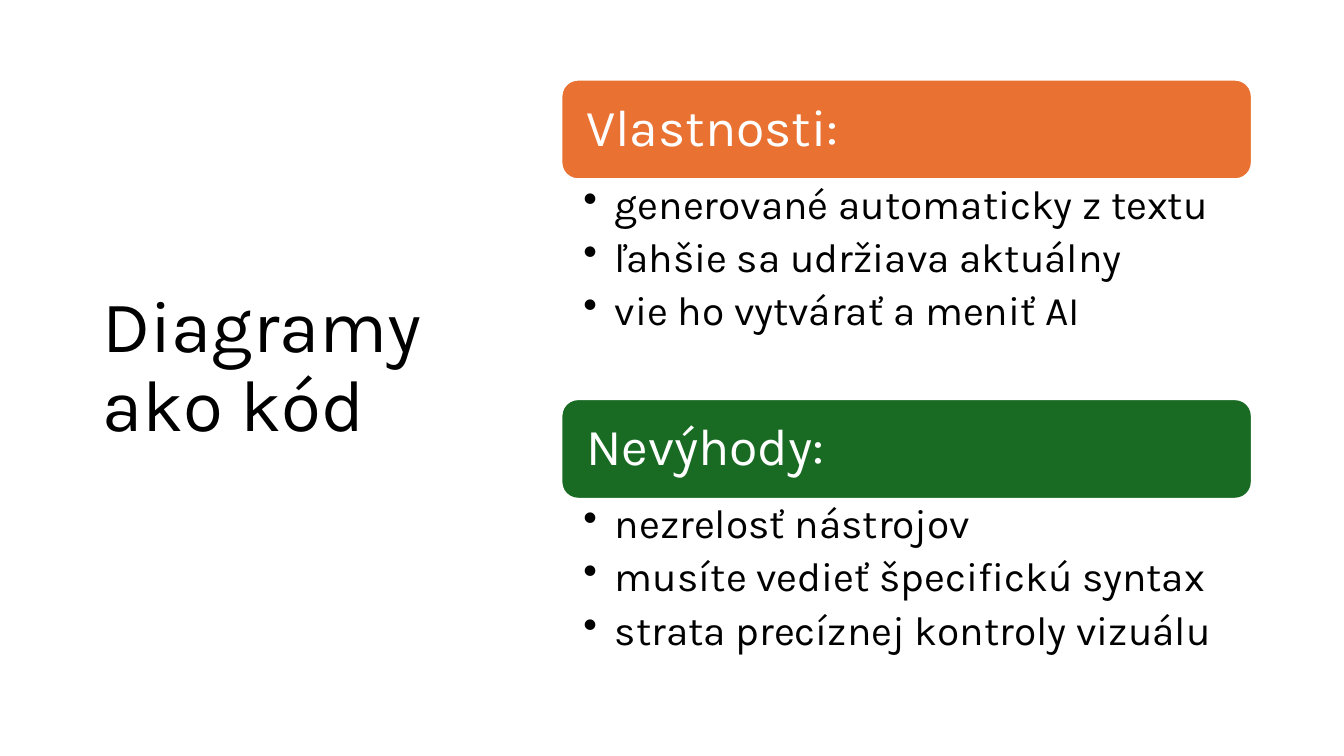
"""Build the slide on diagrams as code."""
from pptx import Presentation as Deck
from pptx.dml.color import RGBColor as Rgb
from pptx.enum.shapes import MSO_SHAPE as Kind
from pptx.enum.text import MSO_ANCHOR as Anchor, PP_ALIGN as Align
from pptx.oxml.ns import qn
from pptx.util import Pt

LEFT, WIDE = 401, 493.2
TOP, STEP, BAR = 56.9, 228.2, 71.2
PANELS = [
    ("Vlastnosti:", "E97132", 157, [
        "generované automaticky z textu",
        "ľahšie sa udržiava aktuálny",
        "vie ho vytvárať a meniť AI",
    ]),
    ("Nevýhody:", "196B24", 117.4, [
        "nezrelosť nástrojov",
        "musíte vedieť špecifickú syntax",
        "strata precíznej kontroly vizuálu",
    ]),
]


def color(code):
    """Turn a hex string into a colour."""
    return Rgb.from_string(code)


def apply(item, values):
    """Set each named value on an object."""
    for name, value in values.items():
        setattr(item, name, value)


def bullet(para):
    """Give a paragraph a hanging round bullet."""
    props = para._p.get_or_add_pPr()
    props.set("marL", str(Pt(22.5)))
    props.set("indent", str(-Pt(22.5)))
    mark = props.makeelement(qn("a:buChar"), {"char": "•"})
    props.append(mark)


def write(shape, lines, size, ink, pads, anchor, after=0, dots=False):
    """Fill a shape with styled paragraphs."""
    frame = shape.text_frame
    sides = ("margin_left", "margin_top", "margin_right", "margin_bottom")
    apply(frame, dict(zip(sides, map(Pt, pads))))
    apply(frame, {"word_wrap": True, "vertical_anchor": anchor})
    frame.text = "\n".join(lines)
    for para in frame.paragraphs:
        if dots:
            bullet(para)
        apply(para, {"alignment": Align.LEFT, "line_spacing": 0.9,
                     "space_after": Pt(after)})
        apply(para.font, {"name": "Karla", "size": Pt(size)})
        para.font.color.rgb = color(ink)


def textbox(slide, box, *style, **more):
    """Add a text box with styled text."""
    write(slide.shapes.add_textbox(*map(Pt, box)), *style, **more)


def banner(slide, box, label, fill):
    """Add a rounded heading bar."""
    bar = slide.shapes.add_shape(Kind.ROUNDED_RECTANGLE, *map(Pt, box))
    bar.shadow.inherit = False
    bar.fill.solid()
    bar.fill.fore_color.rgb = color(fill)
    bar.line.color.rgb = color("FFFFFF")
    bar.line.width = Pt(1.5)
    write(bar, [label], 37, "FFFFFF", (14.4,) * 4, Anchor.MIDDLE)


def main():
    """Build and save the slide."""
    deck = Deck()
    apply(deck, {"slide_width": Pt(960), "slide_height": Pt(540)})
    slide = deck.slides.add_slide(deck.slide_layouts[6])
    textbox(slide, (66, 43.9, 265.7, 438.5), ["Diagramy ako kód"], 52,
            "000000", (7.2, 3.6, 7.2, 3.6), Anchor.MIDDLE)
    for row, (label, fill, tall, points) in enumerate(PANELS):
        top = TOP + row * STEP
        banner(slide, (LEFT, top, WIDE, BAR), label, fill)
        textbox(slide, (LEFT, top + BAR, WIDE, tall), points, 29, "000000",
                (15.7, 3.6, 20.9, 3.6), Anchor.TOP, after=6.6, dots=True)
    deck.save("out.pptx")


if __name__ == "__main__":
    main()
